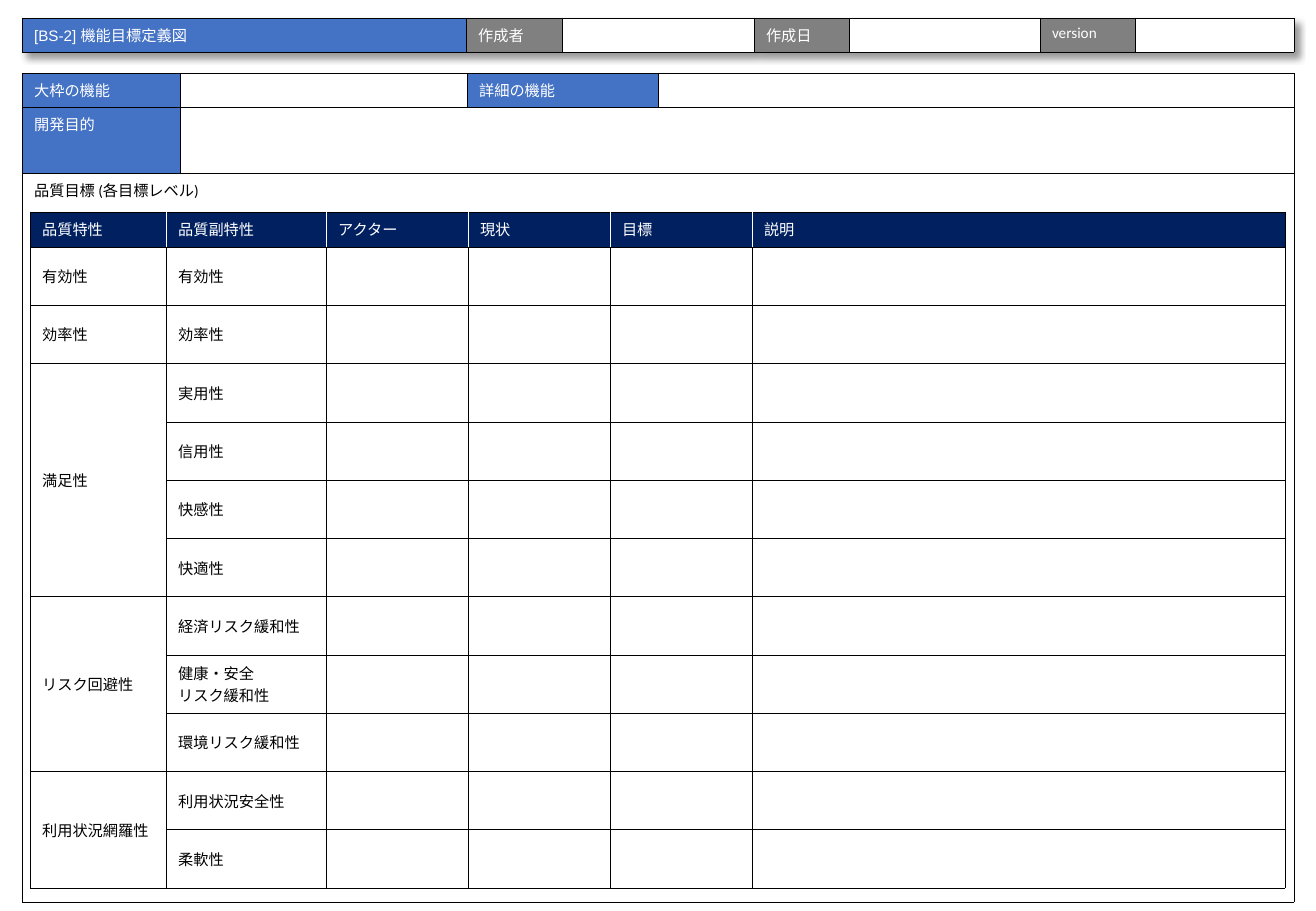
from lxml.etree import SubElement
from pptx import Presentation
from pptx.dml.color import RGBColor
from pptx.enum.text import MSO_ANCHOR
from pptx.oxml import parse_xml
from pptx.oxml.ns import nsdecls, qn
from pptx.util import Pt

EMU_PER_PX = 7526
COLORS = {"blue": "4472C4", "gray": "808080", "navy": "002060",
          "white": "FFFFFF", "black": "000000"}

# Quality characteristics with their sub-characteristics
QUALITIES = [
    ("有効性", ["有効性"]),
    ("効率性", ["効率性"]),
    ("満足性", ["実用性", "信用性", "快感性", "快適性"]),
    ("リスク回避性", ["経済リスク緩和性", "健康・安全\nリスク緩和性", "環境リスク緩和性"]),
    ("利用状況網羅性", ["利用状況安全性", "柔軟性"]),
]
HEADINGS = ["品質特性", "品質副特性", "アクター", "現状", "目標", "説明"]


def px(value):
    return round(value * EMU_PER_PX)


def add_grid(slide, left, top, widths, heights):
    """Add a table whose columns and rows have the given px sizes."""
    grid = slide.shapes.add_table(len(heights), len(widths), px(left), px(top),
                                  px(sum(widths)), px(sum(heights))).table
    grid.first_row = grid.horz_banding = False
    for column, width in zip(grid.columns, widths):
        column.width = px(width)
    for row, height in zip(grid.rows, heights):
        row.height = px(height)
    return grid


def set_borders(cell, left="black", right="black"):
    sides = {"L": left, "R": right, "T": "black", "B": "black"}
    properties = cell._tc.get_or_add_tcPr()
    for index, (side, color) in enumerate(sides.items()):
        properties.insert(index, parse_xml(
            f'<a:ln{side} w="3175" {nsdecls("a")}><a:solidFill>'
            f'<a:srgbClr val="{COLORS[color]}"/></a:solidFill></a:ln{side}>'))


def fill_cell(cell, text="", fill=None, color="black", font="Calibri",
              anchor=MSO_ANCHOR.TOP, left="black", right="black"):
    cell.text = text
    cell.vertical_anchor = anchor
    for paragraph in cell.text_frame.paragraphs:
        paragraph.font.size = Pt(9)
        paragraph.font.name = font
        paragraph.font.color.rgb = RGBColor.from_string(COLORS[color])
        if not text:  # keeps empty cells from growing their row
            SubElement(paragraph._p, qn("a:endParaRPr"), sz="900")
    if fill:
        cell.fill.solid()
        cell.fill.fore_color.rgb = RGBColor.from_string(COLORS[fill])
    else:
        cell.fill.background()
    set_borders(cell, left, right)


def add_shadow(grid):
    grid._tbl.tblPr.insert(0, parse_xml(
        f'<a:effectLst {nsdecls("a")}><a:outerShdw blurRad="50800" dist="50800" '
        'dir="2700000" algn="tl" rotWithShape="0"><a:srgbClr val="000000">'
        '<a:alpha val="40000"/></a:srgbClr></a:outerShdw></a:effectLst>'))


def add_outline(slide):
    outline = add_grid(slide, 22, 73, [158, 287, 191, 636], [34, 66, 729])
    labels = {(0, 0): "大枠の機能", (0, 2): "詳細の機能", (1, 0): "開発目的"}
    for row in range(3):
        for column in range(4):
            label = labels.get((row, column), "")
            fill_cell(outline.cell(row, column), label,
                      "blue" if label else "white", "white")
    fill_cell(outline.cell(2, 0), "品質目標 (各目標レベル)", "white")
    outline.cell(1, 1).merge(outline.cell(1, 3))
    outline.cell(2, 0).merge(outline.cell(2, 3))


def add_title_bar(slide):
    title_bar = add_grid(slide, 22, 18, [444, 96, 192, 95, 191, 95, 159], [34])
    fill_cell(title_bar.cell(0, 0), "[BS-2] 機能目標定義図", "blue", "white", "Arial")
    for index, label in enumerate(["作成者", "作成日", "version"]):
        fill_cell(title_bar.cell(0, 2 * index + 1), label, "gray", "white")
        fill_cell(title_bar.cell(0, 2 * index + 2), fill="white")
    add_shadow(title_bar)


def add_quality_goals(slide):
    row_count = sum(len(subs) for _, subs in QUALITIES)
    goals = add_grid(slide, 30, 212, [136, 160, 142, 142, 142, 533],
                     [35] + [641 / row_count] * row_count)
    font = "Noto Sans CJK JP"
    last = len(HEADINGS) - 1
    for column, heading in enumerate(HEADINGS):
        fill_cell(goals.cell(0, column), heading, "navy", "white", font,
                  left="white" if column else "black",
                  right="white" if column < last else "black")
    row = 1
    for quality, subs in QUALITIES:
        for offset, sub in enumerate(subs):
            texts = [quality if offset == 0 else "", sub] + [""] * 4
            for column, text in enumerate(texts):
                fill_cell(goals.cell(row + offset, column), text, font=font,
                          anchor=MSO_ANCHOR.MIDDLE)
        if len(subs) > 1:
            goals.cell(row, 0).merge(goals.cell(row + len(subs) - 1, 0))
        row += len(subs)


def main():
    presentation = Presentation()
    presentation.slide_width, presentation.slide_height = px(1316), px(911)
    slide = presentation.slides.add_slide(presentation.slide_layouts[6])
    add_outline(slide)
    add_title_bar(slide)
    add_quality_goals(slide)
    presentation.save("out.pptx")


if __name__ == "__main__":
    main()
